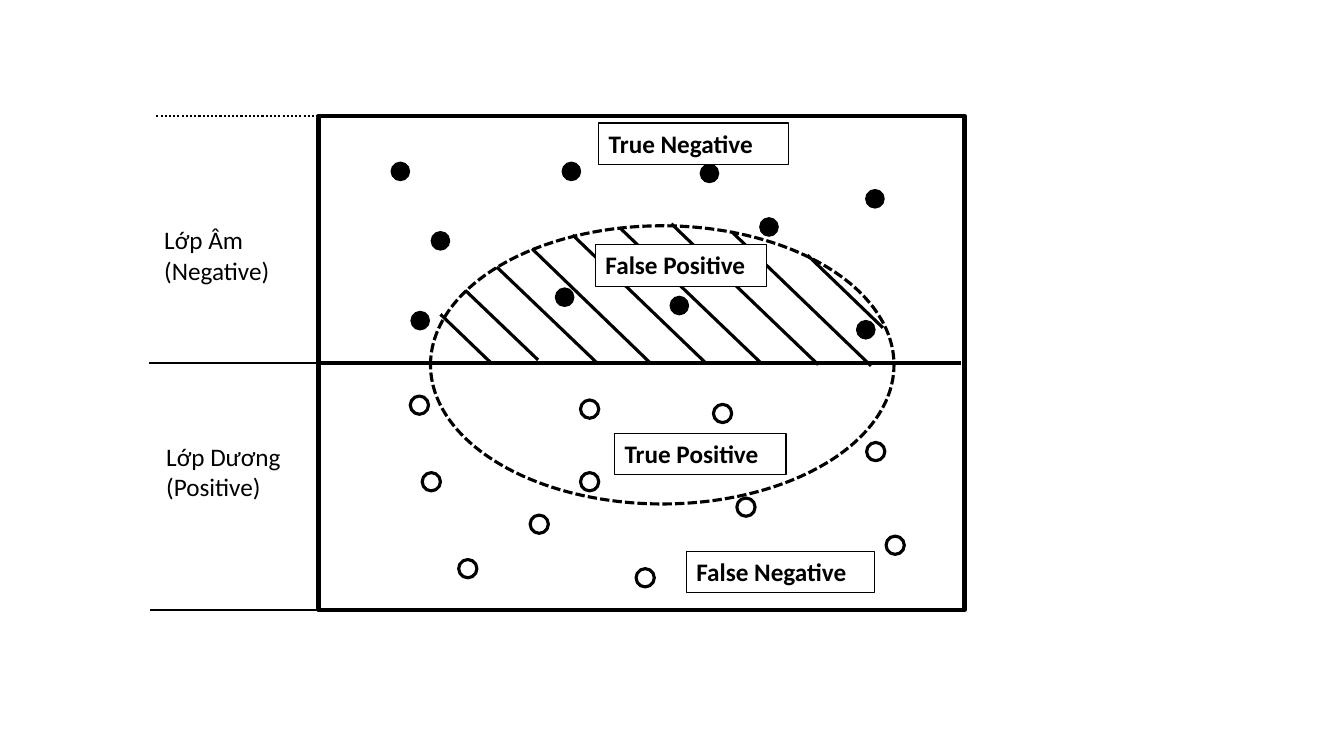
import pptx
import pptx.util
import pptx.dml.color
import pptx.enum.dml
import pptx.enum.shapes
import pptx.enum.text
import pptx.oxml

Cm = pptx.util.Cm
Pt = pptx.util.Pt
SHAPES = pptx.enum.shapes.MSO_SHAPE
DASHES = pptx.enum.dml.MSO_LINE
BLACK = pptx.dml.color.RGBColor(0, 0, 0)
WHITE = pptx.dml.color.RGBColor(255, 255, 255)
LABEL_FONT = {"name": "Calibri", "size": Pt(18)}

deck = pptx.Presentation()
deck.slide_width, deck.slide_height = Cm(33.87), Cm(19.05)
page = deck.slides.add_slide(deck.slide_layouts[6])


def draw_line(ends, weight, dash=None):
    line = page.shapes.add_connector(
        pptx.enum.shapes.MSO_CONNECTOR.STRAIGHT, *[Cm(value) for value in ends]
    )
    line.line.color.rgb = BLACK
    for key, value in {"width": Pt(weight), "dash_style": dash}.items():
        setattr(line.line, key, value)
    line._element.spPr.append(pptx.oxml.parse_xml(
        '<a:effectLst xmlns:a="http://schemas.openxmlformats.org/drawingml/2006/main"/>'
    ))


def draw_shape(kind, area, weight, fill=None, dash=None, text="", bold=False):
    box = page.shapes.add_shape(kind, *[Cm(value) for value in area])
    box.shadow.inherit = False
    if fill is None:
        box.fill.background()
    else:
        box.fill.solid()
        box.fill.fore_color.rgb = fill
    if weight:
        box.line.color.rgb = BLACK
        for key, value in {"width": Pt(weight), "dash_style": dash}.items():
            setattr(box.line, key, value)
    else:
        box.line.fill.background()
    if text:
        box.text_frame.word_wrap = True
        box.text_frame.vertical_anchor = pptx.enum.text.MSO_ANCHOR.TOP
        para = box.text_frame.paragraphs[0]
        para.alignment = pptx.enum.text.PP_ALIGN.LEFT
        span = para.add_run()
        span.text = text
        span.font.color.rgb = BLACK
        for key, value in {**LABEL_FONT, "bold": bold}.items():
            setattr(span.font, key, value)


frame_left, frame_top, frame_width, frame_height = 8.03, 2.92, 16.28, 12.45
middle = 9.14
bottom = frame_top + frame_height
draw_line((frame_left, middle, 24.23, middle), 3)

negative_dots = [
    (10.87, 5.84), (14, 7.26), (10.36, 7.85), (14.17, 4.09), (21.59, 8.08),
    (17.65, 4.14), (16.89, 7.47), (19.15, 5.49), (9.86, 4.09), (21.82, 4.78),
]
positive_dots = [
    (10.64, 11.91), (11.56, 14.1), (16.03, 14.33), (17.98, 10.19),
    (14.63, 10.08), (21.84, 11.15), (18.57, 12.55), (13.36, 12.98),
    (10.34, 9.98), (22.33, 13.51), (14.63, 11.91),
]
dot_size = 0.46
for dots, fill, weight in [(negative_dots, BLACK, 1), (positive_dots, WHITE, 2.25)]:
    for left, top in dots:
        draw_shape(SHAPES.FLOWCHART_CONNECTOR, (left, top, dot_size, dot_size), weight, fill)

draw_shape(SHAPES.FLOWCHART_CONNECTOR, (10.85, 5.69, 11.68, 7.01), 2.25,
           dash=DASHES.SQUARE_DOT)

hatch_lines = [
    (11.1, 7.92, 12.37, 9.14), (11.73, 7.32, 13.56, 9.07),
    (12.52, 6.73, 15.04, 9.14), (13.41, 6.27, 16.36, 9.12),
    (14.43, 5.92, 17.81, 9.17), (15.62, 5.74, 19.15, 9.12),
    (16.92, 5.64, 20.62, 9.19), (18.44, 5.84, 21.95, 9.22),
    (20.35, 6.43, 22.25, 8.26),
]
for ends in hatch_lines:
    draw_line(ends, 2.25)

for left, level, dash in [
    (3.94, frame_top, DASHES.ROUND_DOT), (3.78, bottom, None), (3.76, middle, None),
]:
    draw_line((left, level, left + 18.24, level), 1.5, dash)

for text, left, top, width in [
    ("Lớp Âm (Negative)", 3.89, 5.54, 4.06),
    ("Lớp Dương (Positive)", 3.94, 11, 3.89),
]:
    draw_shape(SHAPES.RECTANGLE, (left, top, width, 1.83), 0, text=text)

for text, left, top, width in [
    ("False Positive", 15.01, 6.17, 4.32),
    ("True Positive", 15.49, 10.92, 4.32),
    ("True Negative", 15.09, 3.1, 4.78),
    ("False Negative", 17.3, 13.89, 4.75),
]:
    draw_shape(SHAPES.RECTANGLE, (left, top, width, 1.04), 0.75, WHITE, text=text, bold=True)

draw_shape(SHAPES.RECTANGLE, (frame_left, frame_top, frame_width, frame_height), 3)

deck.save("out.pptx")
